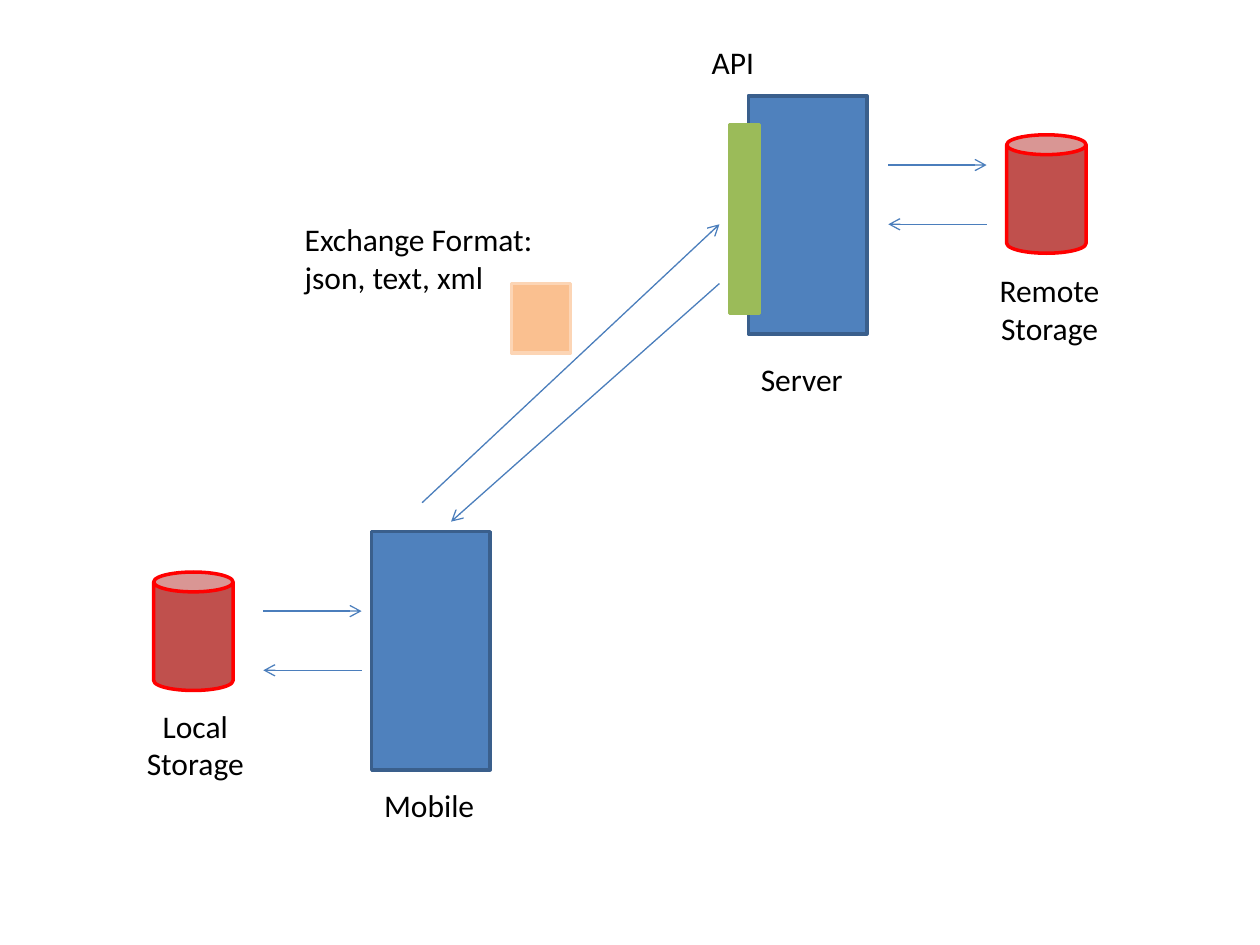
"""Draw a mobile client, a server and the storage that each one uses."""
from typing import NamedTuple

from lxml.etree import SubElement
from pptx import Presentation
from pptx.dml.color import RGBColor
from pptx.enum.shapes import MSO_CONNECTOR, MSO_SHAPE
from pptx.enum.text import MSO_AUTO_SIZE, PP_ALIGN
from pptx.oxml.ns import qn
from pptx.util import Inches, Pt


class Look(NamedTuple):
    kind: MSO_SHAPE
    width: float
    height: float
    fill: str
    line: str


class Part(NamedTuple):
    look: Look
    left: float
    top: float


class Label(NamedTuple):
    left: float
    top: float
    width: float
    lines: list[str]
    align: PP_ALIGN = PP_ALIGN.LEFT
    wrap: bool = False


class Arrow(NamedTuple):
    start: tuple[float, float]
    end: tuple[float, float]


NODE = Look(MSO_SHAPE.RECTANGLE, 0.94, 1.89, "4F81BD", "3A5F8C")
STORE = Look(MSO_SHAPE.CAN, 0.63, 0.94, "C0504D", "FF0000")
API = Look(MSO_SHAPE.RECTANGLE, 0.24, 1.5, "9BBB59", "9BBB59")
DATA = Look(MSO_SHAPE.RECTANGLE, 0.47, 0.55, "FAC090", "FCD5B5")

PARTS = [
    Part(NODE, 2.95, 4.22),
    Part(NODE, 5.94, 0.76),
    Part(STORE, 7.99, 1.07),
    Part(STORE, 1.22, 4.54),
    Part(API, 5.79, 0.99),
    Part(DATA, 4.06, 2.25),
]
LABELS = [
    Label(2.95, 6.19, 0.93, ["Mobile"]),
    Label(5.94, 2.81, 0.86, ["Server"]),
    Label(7.83, 2.1, 1, ["Remote", "Storage"], PP_ALIGN.CENTER),
    Label(1.06, 5.56, 0.98, ["Local", "Storage"], PP_ALIGN.CENTER),
    Label(5.55, 0.29, 0.54, ["API"]),
    Label(2.32, 1.7, 2.66, ["Exchange Format:", "json, text, xml"], wrap=True),
]
LINKS = [
    Arrow((3.35, 3.99), (5.71, 1.78)),
    Arrow((5.71, 2.25), (3.58, 4.14)),
]
PAIRS = [(7.05, 1.31), (2.09, 4.85)]
SPAN, GAP = 0.78, 0.47
FONT = {"name": "Calibri", "size": Pt(18)}


def paint(target, color: str) -> None:
    target.rgb = RGBColor.from_string(color)


def draw_part(slide, part: Part) -> None:
    look = part.look
    box = [Inches(n) for n in (part.left, part.top, look.width, look.height)]
    shape = slide.shapes.add_shape(look.kind, *box)
    shape.shadow.inherit = False
    shape.fill.solid()
    paint(shape.fill.fore_color, look.fill)
    paint(shape.line.color, look.line)
    shape.line.width = Pt(2)


def draw_label(slide, label: Label) -> None:
    height = 0.1 + 0.3 * len(label.lines)
    box = [Inches(n) for n in (label.left, label.top, label.width, height)]
    frame = slide.shapes.add_textbox(*box).text_frame
    frame.word_wrap = label.wrap
    frame.auto_size = MSO_AUTO_SIZE.SHAPE_TO_FIT_TEXT
    frame.text = "\n".join(label.lines)
    for para in frame.paragraphs:
        para.alignment = label.align
        for name, value in FONT.items():
            setattr(para.font, name, value)
        paint(para.font.color, "000000")


def draw_arrow(slide, arrow: Arrow) -> None:
    ends = [Inches(n) for n in (*arrow.start, *arrow.end)]
    link = slide.shapes.add_connector(MSO_CONNECTOR.STRAIGHT, *ends)
    paint(link.line.color, "4B7EBC")
    link.line.width = Pt(0.75)
    props = link.element.spPr
    SubElement(props.find(qn("a:ln")), qn("a:tailEnd"), type="arrow")
    SubElement(props, qn("a:effectLst"))


def pair(left: float, top: float) -> list[Arrow]:
    right, low = left + SPAN, top + GAP
    return [Arrow((left, top), (right, top)), Arrow((right, low), (left, low))]


def main() -> None:
    deck = Presentation()
    deck.slide_width, deck.slide_height = Inches(10), Inches(7.5)
    slide = deck.slides.add_slide(deck.slide_layouts[6])
    for part in PARTS:
        draw_part(slide, part)
    for label in LABELS:
        draw_label(slide, label)
    for arrow in LINKS + [a for spot in PAIRS for a in pair(*spot)]:
        draw_arrow(slide, arrow)
    deck.save("out.pptx")


if __name__ == "__main__":
    main()
